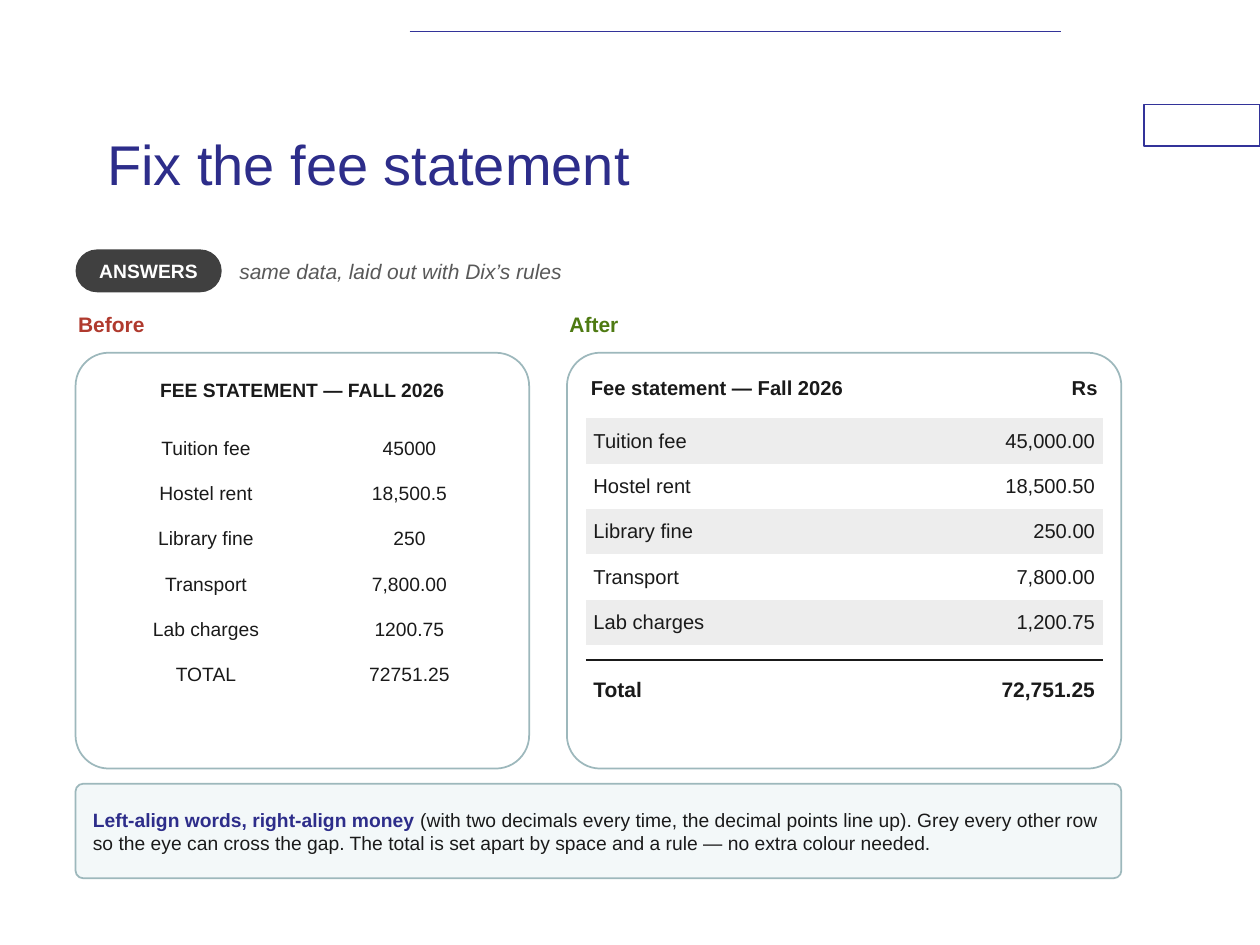
from pptx import Presentation
from pptx.dml.color import RGBColor
from pptx.enum.shapes import MSO_CONNECTOR, MSO_SHAPE
from pptx.enum.text import MSO_ANCHOR as ANCHOR, PP_ALIGN as ALIGN
from pptx.oxml.ns import qn
from pptx.util import Pt
from lxml.etree import SubElement

INK, INDIGO, WHITE = "1A1A1A", "2D2D8A", "FFFFFF"
MASTER_BLUE, PANEL_EDGE, STRIPE = "333399", "9DB8BC", "EDEDED"
NO_GRID_STYLE = "{2D5ABB26-0587-4C30-8999-92F81FD0307C}"
LEFT, AFTER_LEFT = 43.2, 324
PANEL_TOP, PANEL_HEIGHT = 201.6, 237.6
BEFORE_WIDTH, AFTER_WIDTH = 259.2, 316.8
ROW = 25.92

BEFORE_ROWS = [
    ("Tuition fee", "45000"),
    ("Hostel rent", "18,500.5"),
    ("Library fine", "250"),
    ("Transport", "7,800.00"),
    ("Lab charges", "1200.75"),
    ("TOTAL", "72751.25"),
]
AFTER_ROWS = [
    ("Fee statement — Fall 2026", "Rs"),
    ("Tuition fee", "45,000.00"),
    ("Hostel rent", "18,500.50"),
    ("Library fine", "250.00"),
    ("Transport", "7,800.00"),
    ("Lab charges", "1,200.75"),
    ("Total", "72,751.25"),
]


def rgb(value):
    return RGBColor.from_string(value)


def points(*lengths):
    return [Pt(length) for length in lengths]


def apply(target, **values):
    for name, value in values.items():
        setattr(target, name, value)


def set_margins(target, margin):
    for side in ("left", "right", "top", "bottom"):
        setattr(target, f"margin_{side}", Pt(margin))


def add_run(frame, text, size, colour=INK, align=ALIGN.LEFT, **style):
    paragraph = frame.paragraphs[0]
    paragraph.alignment = align
    run = paragraph.add_run()
    run.text = text
    apply(run.font, name="Arial", size=Pt(size), **style)
    run.font.color.rgb = rgb(colour)


def add_label(slide, box, text, size, colour=INK, anchor=ANCHOR.MIDDLE, **style):
    frame = slide.shapes.add_textbox(*points(*box)).text_frame
    apply(frame, word_wrap=True, vertical_anchor=anchor)
    set_margins(frame, 1.44)
    add_run(frame, text, size, colour, **style)


def add_box(slide, box, fill, edge=None, weight=1, rounding=None, margin=2.16):
    """Draw a rectangle, rounded if a rounding is given, and return its text frame."""
    kind = MSO_SHAPE.RECTANGLE if rounding is None else MSO_SHAPE.ROUNDED_RECTANGLE
    shape = slide.shapes.add_shape(kind, *points(*box))
    shape.shadow.inherit = False
    if rounding is not None:
        shape.adjustments[0] = rounding
    shape.fill.solid()
    shape.fill.fore_color.rgb = rgb(fill)
    if edge:
        shape.line.color.rgb = rgb(edge)
        shape.line.width = Pt(weight)
    else:
        shape.line.fill.background()
    apply(shape.text_frame, word_wrap=True, vertical_anchor=ANCHOR.MIDDLE)
    set_margins(shape.text_frame, margin)
    return shape.text_frame


def add_rule(slide, left, right, y, colour):
    rule = slide.shapes.add_connector(
        MSO_CONNECTOR.STRAIGHT, *points(left, y, right, y))
    rule.line.color.rgb = rgb(colour)
    rule.line.width = Pt(1)
    SubElement(rule._element.spPr, qn("a:effectLst"))


def add_plain_table(slide, left, top, widths, heights):
    table = slide.shapes.add_table(
        len(heights), len(widths),
        *points(left, top, sum(widths), sum(heights))).table
    apply(table, first_row=False, horz_banding=False)
    table._tbl.tblPr.find(qn("a:tableStyleId")).text = NO_GRID_STYLE
    for column, width in zip(table.columns, widths):
        column.width = Pt(width)
    for row, height in zip(table.rows, heights):
        row.height = Pt(height)
    return table


def fill_row(row, texts, aligns, size, margin, fill=None, bold=False):
    for cell, text, align in zip(row.cells, texts, aligns):
        cell.vertical_anchor = ANCHOR.MIDDLE
        set_margins(cell, margin)
        if fill:
            cell.fill.solid()
            cell.fill.fore_color.rgb = rgb(fill)
        else:
            cell.fill.background()
        add_run(cell.text_frame, text, size, align=align, bold=bold)


def add_panel(slide, left, width, heading, colour):
    add_label(slide, (left, 176.4, width, 21.6), heading, 12, colour,
              anchor=ANCHOR.TOP, bold=True)
    add_box(slide, (left, PANEL_TOP, width, PANEL_HEIGHT), WHITE, PANEL_EDGE,
            rounding=0.08)


def add_before(slide):
    add_panel(slide, LEFT, BEFORE_WIDTH, "Before", "B03A2E")
    add_label(slide, (50.4, 207.36, 244.8, 30.24), "FEE STATEMENT — FALL 2026",
              11, align=ALIGN.CENTER, bold=True)
    table = add_plain_table(slide, 50.4, 243.36, (134.64, 97.92),
                            [ROW] * len(BEFORE_ROWS))
    for row, texts in zip(table.rows, BEFORE_ROWS):
        fill_row(row, texts, [ALIGN.CENTER] * 2, 11, 1.44)


def add_after(slide):
    add_panel(slide, AFTER_LEFT, AFTER_WIDTH, "After", "4E7A12")
    left, widths = 334.8, (180, 115.2)
    last = len(AFTER_ROWS) - 1
    heights = [34.56] + [ROW] * (last - 1) + [51.84]
    table = add_plain_table(slide, left, 204.48, widths, heights)
    for index, (row, texts) in enumerate(zip(table.rows, AFTER_ROWS)):
        fill_row(row, texts, (ALIGN.LEFT, ALIGN.RIGHT),
                 size=12 if index == last else 11.5,
                 margin=2.88 if index == 0 else 4.32,
                 fill=STRIPE if index % 2 else None,
                 bold=index in (0, last))
    add_rule(slide, left, left + sum(widths), 377.28, INK)


def main():
    deck = Presentation()
    apply(deck, slide_width=Pt(720), slide_height=Pt(540))
    slide = deck.slides.add_slide(deck.slide_layouts[5])

    add_box(slide, (653.76, 59.76, 66.24, 23.76), WHITE, MASTER_BLUE, 0.75)
    add_rule(slide, 234, 606.24, 18, MASTER_BLUE)

    title = slide.shapes.title
    for side, length in zip(("left", "top", "width", "height"), (54, 48, 540, 90)):
        setattr(title, side, Pt(length))
    title.text_frame.vertical_anchor = ANCHOR.MIDDLE
    add_run(title.text_frame, "Fix the fee statement", 32, INDIGO)

    badge = add_box(slide, (LEFT, 142.56, 83.52, 24.48), "404040", rounding=0.5)
    add_run(badge, "ANSWERS", 11, WHITE, ALIGN.CENTER, bold=True)
    add_label(slide, (135.36, 142.56, 506.16, 24.48),
              "same data, laid out with Dix’s rules", 12, "595959", italic=True)

    add_before(slide)
    add_after(slide)

    lesson = add_box(slide, (LEFT, 447.84, 597.6, 54), "F3F8F9", PANEL_EDGE,
                     rounding=0.08, margin=8.64)
    add_run(lesson, "Left-align words, right-align money ", 11, INDIGO, bold=True)
    add_run(lesson, "(with two decimals every time, the decimal points line up). "
            "Grey every other row so the eye can cross the gap. The total is set "
            "apart by space and a rule — no extra colour needed.", 11, bold=False)

    deck.save("out.pptx")


if __name__ == "__main__":
    main()
